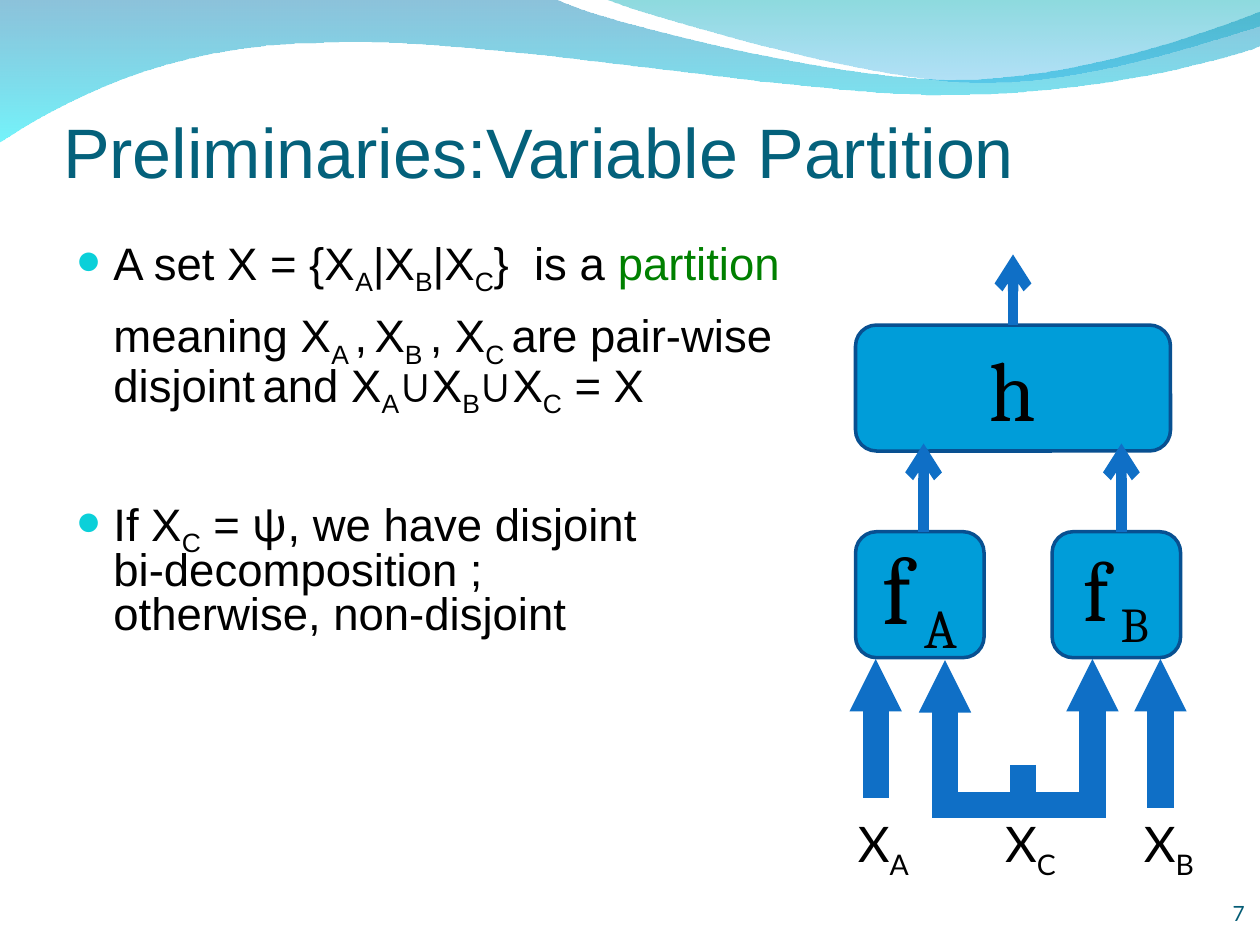
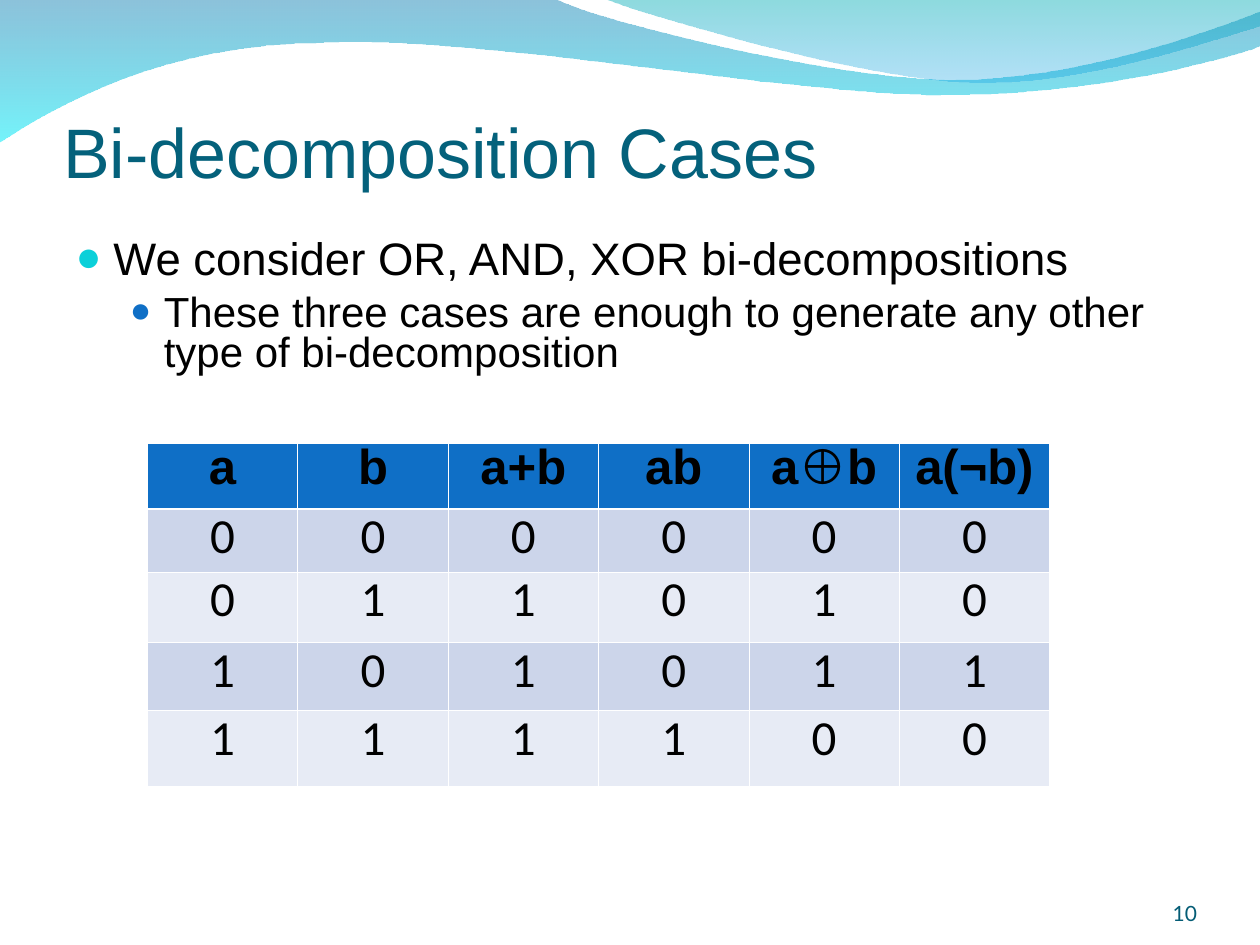
import lxml.etree
import pptx
import pptx.dml.color
import pptx.enum.shapes
import pptx.enum.text
import pptx.oxml.ns
import pptx.util

Inches = pptx.util.Inches
Pt = pptx.util.Pt
RGBColor = pptx.dml.color.RGBColor
qn = pptx.oxml.ns.qn
ALIGN = pptx.enum.text.PP_ALIGN
ANCHOR = pptx.enum.text.MSO_ANCHOR
CONNECTOR = pptx.enum.shapes.MSO_CONNECTOR

BLACK = RGBColor(0x00, 0x00, 0x00)
WHITE = RGBColor(0xFF, 0xFF, 0xFF)
GREEN = RGBColor(0x00, 0x80, 0x00)
TITLE_TEAL = RGBColor(0x04, 0x61, 0x7B)
NUMBER_TEAL = RGBColor(0x04, 0x5C, 0x75)
BULLET_CYAN = RGBColor(0x0B, 0xD0, 0xD9)
BLUE = RGBColor(0x0F, 0x6F, 0xC6)
BOX_FILL = RGBColor(0x00, 0x9D, 0xD9)
BOX_LINE = RGBColor(0x08, 0x50, 0x91)
ROW_DARK = RGBColor(0xCC, 0xD5, 0xEA)
ROW_LIGHT = RGBColor(0xE7, 0xEB, 0xF5)

# Each wave: start point, segments (1 point: line, 3 points: curve), gradient stops.
# Points are in hundredths of an inch.
WAVES = [
    ((0, -1),
     [[(440, -1)], [(476, 17), (664, 63), (758, 63)],
      [(853, 63), (958, 26), (1000, 9)], [(1001, 36)],
      [(983, 44), (870, 76), (746, 75)],
      [(622, 75), (382, 28), (257, 34)],
      [(129, 35), (46, 83), (-1, 113)]],
     [(RGBColor(0x00, 0x79, 0xAF), 45), (RGBColor(0x00, 0xEB, 0xF8), 55)]),
    ((479, -1),
     [[(509, 11), (682, 62), (769, 65)],
      [(856, 69), (961, 32), (1000, 21)], [(1000, 0)]],
     [(RGBColor(0x00, 0xAD, 0xB6), 45), (RGBColor(0x00, 0x9B, 0xE5), 30)]),
]

TRUTH_TABLE = [
    ["a", "b", "a+b", "ab", "a⊕b", "a(¬b)"],
    ["0", "0", "0", "0", "0", "0"],
    ["0", "1", "1", "0", "1", "0"],
    ["1", "0", "1", "0", "1", "1"],
    ["1", "1", "1", "1", "0", "0"],
]
ROW_HEIGHTS = [0.52, 0.5, 0.56, 0.54, 0.6]


def add_xml(parent, tag, **attributes):
    return lxml.etree.SubElement(parent, qn(tag), attributes)


def add_text(paragraph, text, size, font="Arial", color=BLACK, bold=False):
    """Add runs; pieces between ~ signs are subscripts, \\n breaks the line."""
    for line_index, line in enumerate(text.split("\n")):
        if line_index:
            paragraph.add_line_break()
        for piece_index, piece in enumerate(line.split("~")):
            if not piece:
                continue
            run = paragraph.add_run()
            run.text = piece
            run.font.size = Pt(size)
            run.font.name = font
            run.font.bold = bold
            run.font.color.rgb = color
            if piece_index % 2:
                run.font._element.set("baseline", "-25000")


def place(shape, left, top, width, height):
    shape.left, shape.top = Inches(left), Inches(top)
    shape.width, shape.height = Inches(width), Inches(height)


def set_margins(holder, left, top, right, bottom):
    holder.margin_left, holder.margin_top = Inches(left), Inches(top)
    holder.margin_right, holder.margin_bottom = Inches(right), Inches(bottom)


def bend_segments(wave, segments):
    """Turn each run of three control points into one cubic curve."""
    corners = iter(list(wave._element.iter(qn("a:lnTo"))))
    for segment in segments:
        first, *others = [next(corners) for point in segment]
        if others:
            curve = lxml.etree.Element(qn("a:cubicBezTo"))
            first.addprevious(curve)
            for corner in (first, *others):
                curve.append(corner[0])
                corner.getparent().remove(corner)


def add_wave(slide, start, segments, stops):
    builder = slide.shapes.build_freeform(*start, scale=Inches(0.01))
    builder.add_line_segments([point for segment in segments for point in segment])
    builder.add_line_segments([start], close=True)
    wave = builder.convert_to_shape()
    bend_segments(wave, segments)
    wave.shadow.inherit = False
    wave.line.fill.background()
    wave.fill.gradient()
    wave.fill.gradient_angle = 270
    for stop, (color, opacity) in zip(wave.fill.gradient_stops, stops):
        stop.color.rgb = color
    for rgb, (color, opacity) in zip(wave._element.spPr.iter(qn("a:srgbClr")), stops):
        add_xml(rgb, "a:alpha", val=str(opacity * 1000))


def add_slide(deck, heading, number, number_left, body_width):
    """Add a slide with waves, title and number; return it with its body text."""
    slide = deck.slides.add_slide(deck.slide_layouts[1])
    for wave in WAVES:
        add_wave(slide, *wave)

    title = slide.shapes.title
    place(title, 0.5, 0.6, 9, 0.93)
    title_frame = title.text_frame
    title_frame.auto_size = pptx.enum.text.MSO_AUTO_SIZE.NONE
    title_frame.vertical_anchor = ANCHOR.BOTTOM
    set_margins(title_frame, 0, 0.05, 0, 0)
    title_frame.paragraphs[0].alignment = ALIGN.LEFT
    add_text(title_frame.paragraphs[0], heading, 40, color=TITLE_TEAL)

    body = slide.placeholders[1]
    place(body, 0.5, 1.86, body_width, 5.06)
    body.text_frame.auto_size = pptx.enum.text.MSO_AUTO_SIZE.NONE

    page = slide.shapes.add_textbox(
        Inches(number_left), Inches(6.95), Inches(0.83), Inches(0.4)).text_frame
    page.word_wrap = True
    page.vertical_anchor = ANCHOR.BOTTOM
    set_margins(page, 0, 0, 0, 0)
    page.paragraphs[0].alignment = ALIGN.RIGHT
    add_text(page.paragraphs[0], number, 12, "Lato", NUMBER_TEAL)
    return slide, body.text_frame


def format_item(paragraph, before=13, level=0, bullet=True):
    """Give a list paragraph its spacing, indent and bullet."""
    margin, hanging, color, percent = [
        (0.3, 0.3, BULLET_CYAN, 95), (0.7, 0.27, BLUE, 85)][level]
    paragraph.level = level
    paragraph.line_spacing = 0.8
    paragraph.space_before = Pt(before)
    properties = paragraph._p.get_or_add_pPr()
    properties.set("marL", str(Inches(margin)))
    properties.set("indent", str(-Inches(hanging) if bullet else 0))
    if bullet:
        add_xml(add_xml(properties, "a:buClr"), "a:srgbClr", val=str(color))
        add_xml(properties, "a:buSzPct", val=str(percent * 1000))
        add_xml(properties, "a:buChar", char="●")
    else:
        add_xml(properties, "a:buNone")
    return paragraph


def add_block(slide, left, top, width, label, size):
    block = slide.shapes.add_shape(
        pptx.enum.shapes.MSO_SHAPE.ROUNDED_RECTANGLE,
        Inches(left), Inches(top), Inches(width), Inches(1))
    block.shadow.inherit = False
    block.fill.solid()
    block.fill.fore_color.rgb = BOX_FILL
    block.line.color.rgb = BOX_LINE
    block.line.width = Pt(2)
    block.text_frame.vertical_anchor = ANCHOR.MIDDLE
    block.text_frame.paragraphs[0].alignment = ALIGN.CENTER
    add_text(block.text_frame.paragraphs[0], label, size, "Cambria")
    return block


def add_line(slide, start, end, width, head=None, tail=None, kind=CONNECTOR.STRAIGHT):
    line = slide.shapes.add_connector(
        kind, *(Inches(value) for value in (*start, *end)))
    line.line.color.rgb = BLUE
    line.line.width = Pt(width)
    outline = line.line._get_or_add_ln()
    add_xml(outline, "a:miter", lim="800000")
    for tag, arrow in (("a:headEnd", head), ("a:tailEnd", tail)):
        if arrow:
            size = "sm" if arrow == "triangle" else "med"
            add_xml(outline, tag, type=arrow, w=size, len=size)
    add_xml(line._element.spPr, "a:effectLst")
    return line


def add_shared_input(slide):
    """U-shaped double arrow: a flat elbow connector turned by 90 degrees."""
    flat, depth = 0.01, 1.18
    fork = add_line(slide, (8.08, 4.65), (8.08 + flat, 5.82), 15,
                    "triangle", "triangle", CONNECTOR.ELBOW)
    properties = fork._element.spPr
    properties.find(qn("a:xfrm")).set("rot", str(90 * 60000))
    adjustments = properties.find(qn("a:prstGeom")).find(qn("a:avLst"))
    add_xml(adjustments, "a:gd", name="adj1",
            fmla=f"val {round(depth / flat * 100000)}")


def add_input_label(slide, left, label):
    frame = slide.shapes.add_textbox(
        Inches(left), Inches(6.41), Inches(0.7), Inches(0.63)).text_frame
    frame.word_wrap = True
    add_text(frame.paragraphs[0], label, 28, "Lato")


def add_border(cell, side, width):
    border = add_xml(cell._tc.get_or_add_tcPr(), f"a:ln{side}", w=str(Pt(width)))
    add_xml(add_xml(border, "a:solidFill"), "a:srgbClr", val=str(WHITE))


def add_truth_table(slide):
    table = slide.shapes.add_table(
        len(TRUTH_TABLE), len(TRUTH_TABLE[0]), Inches(1.17), Inches(3.52),
        Inches(7.16), Inches(sum(ROW_HEIGHTS))).table
    for row_index, values in enumerate(TRUTH_TABLE):
        table.rows[row_index].height = Inches(ROW_HEIGHTS[row_index])
        header = row_index == 0
        fill = BLUE if header else (ROW_LIGHT, ROW_DARK)[row_index % 2]
        for column, value in enumerate(values):
            cell = table.cell(row_index, column)
            for side in "LRTB":
                heavy = (row_index, side) in ((0, "B"), (1, "T"))
                add_border(cell, side, 1.47 if heavy else 0.45)
            cell.fill.solid()
            cell.fill.fore_color.rgb = fill
            paragraph = cell.text_frame.paragraphs[0]
            paragraph.alignment = ALIGN.CENTER
            paragraph.line_spacing = 0.8
            add_text(paragraph, value, 28, "Arial" if header else "Calibri", bold=header)


def build_partition_slide(deck):
    slide, body = add_slide(deck, "Preliminaries:Variable Partition", "7", 9.05, 6.47)
    definition = format_item(body.paragraphs[0])
    add_text(definition, "A set X = {X~A~|X~B~|X~C~}  is a ", 26)
    add_text(definition, "partition", 26, color=GREEN)
    meaning = format_item(body.add_paragraph(), bullet=False)
    add_text(meaning, "meaning X~A ~,~ ~X~B ~, X~C ~are pair-wise disjoint~ ~and "
                      "X~A~∪X~B~∪X~C~ = X", 26)
    disjoint = format_item(body.add_paragraph(), before=51)
    add_text(disjoint, "If X~C~ = ", 26)
    add_text(disjoint, "ψ", 26, "Noto Sans CJK TC")
    add_text(disjoint, ", we have disjoint\nbi-decomposition ; \notherwise, non-disjoint", 26)

    add_block(slide, 6.79, 4.22, 1.02, "f~ A~", 54)
    add_block(slide, 8.35, 4.22, 1.02, "f~ B~", 48)
    h_block = add_block(slide, 6.79, 2.58, 2.5, "h", 48)
    for x in (7.33, 8.9):
        add_line(slide, (x, 4.22), (x, 3.52), 6, tail="arrow")

    for left, label in ((6.71, "X~A~"), (8.98, "X~B~"), (7.88, "X~C~")):
        add_input_label(slide, left, label)
    output = add_line(slide, (8.04, 2.58), (8.04, 2.02), 6, tail="arrow")
    output.begin_connect(h_block, 0)
    add_shared_input(slide)
    add_line(slide, (8.12, 6.07), (8.12, 6.39), 15)
    for x, bottom in ((6.95, 6.33), (9.21, 6.41)):
        add_line(slide, (x, bottom), (x, 5.23), 15, tail="triangle")


def build_cases_slide(deck):
    slide, body = add_slide(deck, "Bi-decomposition Cases", "10", 8.67, 9)
    add_text(format_item(body.paragraphs[0]),
             "We consider OR, AND, XOR bi-decompositions", 26)
    add_text(format_item(body.add_paragraph(), before=6, level=1),
             "These three cases are enough to generate any other type of "
             "bi-decomposition", 24)
    add_truth_table(slide)


def main():
    deck = pptx.Presentation()
    deck.slide_width, deck.slide_height = Inches(10), Inches(7.5)
    build_partition_slide(deck)
    build_cases_slide(deck)
    deck.save("out.pptx")


if __name__ == "__main__":
    main()
